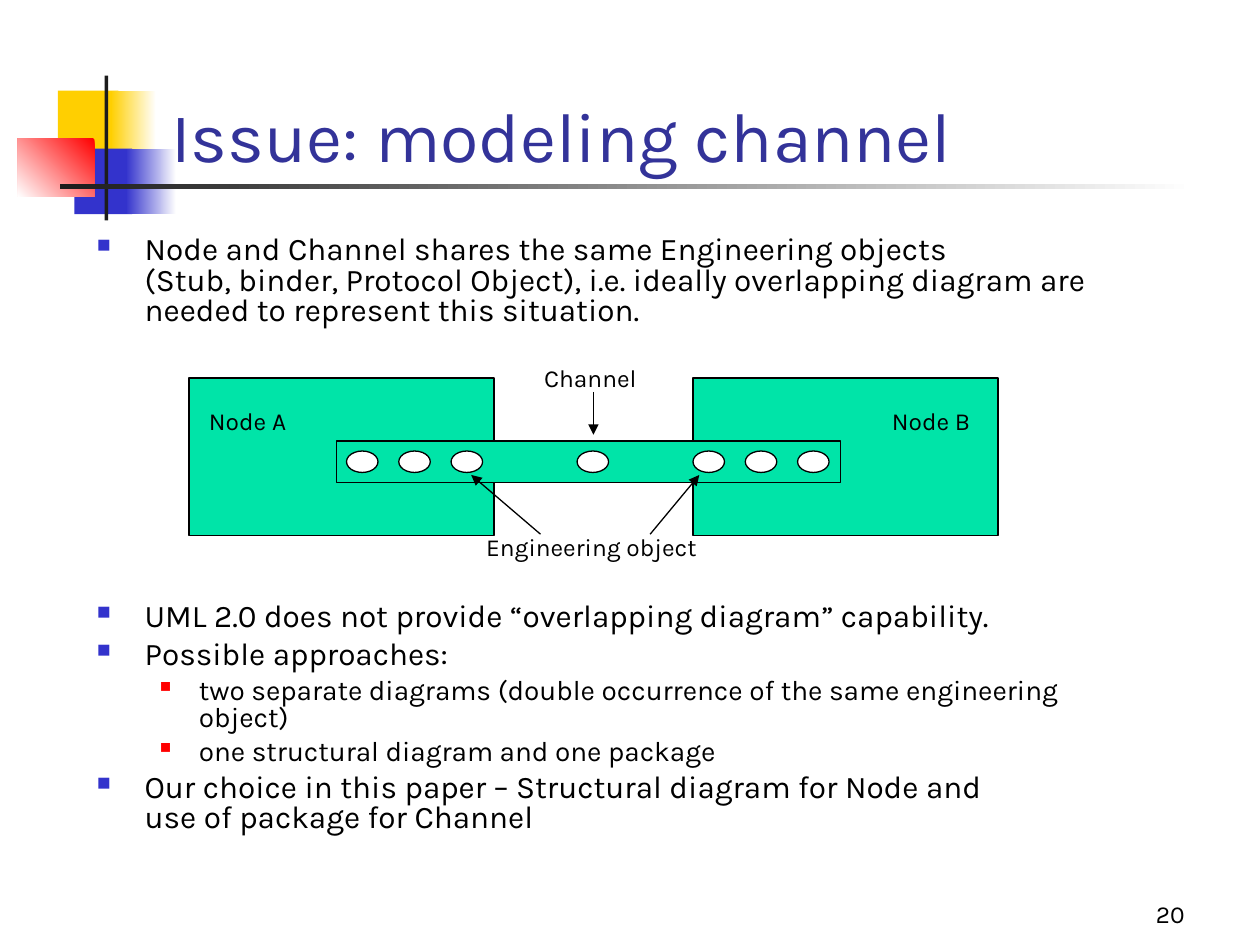
from lxml import etree
from pptx import Presentation
from pptx.dml.color import RGBColor
from pptx.enum import shapes, text
from pptx.oxml import ns
from pptx.util import Inches, Pt

FONT = "Karla"
COLORS = {
    "yellow": "FFCF01", "blue": "3333CC", "red": "FF0000", "white": "FFFFFF",
    "ink": "1C1C1C", "title": "333399", "black": "000000", "green": "00E4A8",
}
LEVELS = [
    {"size": 18, "margin": 0.38, "hang": 0.38, "before": 4.5, "bullet": "blue", "percent": 60},
    {"size": 16, "margin": 0.81, "hang": 0.31, "before": 4, "bullet": "red", "percent": 55},
]
INTRO = [
    (0, "Node and Channel shares the same Engineering objects\v"
        "(Stub, binder, Protocol Object), i.e. ideally overlapping diagram are "
        "needed to represent this situation."),
]
APPROACHES = [
    (0, "UML 2.0 does not provide “overlapping diagram” capability."),
    (0, "Possible approaches:"),
    (1, "two separate diagrams (double occurrence of the same engineering object)"),
    (1, "one structural diagram and one package"),
    (0, "Our choice in this paper – Structural diagram for Node and\vuse of package for Channel"),
]


def color(name):
    """Return the named colour."""
    return RGBColor.from_string(COLORS[name])


def add_block(slide, box, fill, kind=shapes.MSO_SHAPE.RECTANGLE, outlined=False):
    """Add a flat preset shape, with a thin black outline if asked."""
    block = slide.shapes.add_shape(kind, *map(Inches, box))
    block.shadow.inherit = False
    block.fill.solid()
    block.fill.fore_color.rgb = color(fill)
    if outlined:
        block.line.color.rgb = color("black")
        block.line.width = Pt(0.75)
    else:
        block.line.fill.background()
    return block


def add_fade(slide, box, start, end, angle=180):
    """Add a rectangle that fades from one colour to another."""
    fade = add_block(slide, box, start)
    fade.fill.gradient()
    fade.fill.gradient_angle = angle
    for stop, name in zip(fade.fill.gradient_stops, (start, end)):
        stop.color.rgb = color(name)


def style_runs(paragraph, size, name="black"):
    """Give every run of a paragraph its font, size and colour."""
    for run in paragraph.runs:
        run.font.name = FONT
        run.font.size = Pt(size)
        run.font.color.rgb = color(name)


def add_text(slide, box, words, size, name="black", wrap=True,
             anchor=text.MSO_ANCHOR.TOP, align=text.PP_ALIGN.LEFT):
    """Add a text box holding one paragraph."""
    frame = slide.shapes.add_textbox(*map(Inches, box)).text_frame
    frame.word_wrap = wrap
    frame.vertical_anchor = anchor
    frame.text = words
    frame.paragraphs[0].alignment = align
    style_runs(frame.paragraphs[0], size, name)


def add_arrow(slide, start, end):
    """Add a thin black line with an arrowhead at its end."""
    arrow = slide.shapes.add_connector(
        shapes.MSO_CONNECTOR.STRAIGHT, *map(Inches, (*start, *end)))
    arrow.line.color.rgb = color("black")
    arrow.line.width = Pt(0.75)
    etree.SubElement(arrow.line._get_or_add_ln(), ns.qn("a:tailEnd"), type="triangle")
    etree.SubElement(arrow._element.spPr, ns.qn("a:effectLst"))


def add_bullet(paragraph, level):
    """Give a paragraph its coloured square bullet and hanging indent."""
    props = paragraph._p.get_or_add_pPr()
    props.set("marL", str(Inches(level["margin"])))
    props.set("indent", str(-Inches(level["hang"])))
    tint = etree.SubElement(props, ns.qn("a:buClr"))
    etree.SubElement(tint, ns.qn("a:srgbClr"), val=COLORS[level["bullet"]])
    etree.SubElement(props, ns.qn("a:buSzPct"), val=str(level["percent"] * 1000))
    etree.SubElement(props, ns.qn("a:buChar"), char="■")


def add_bullets(slide, box, items):
    """Add a bulleted list of (level, words) items."""
    frame = slide.shapes.add_textbox(*map(Inches, box)).text_frame
    frame.word_wrap = True
    for index, (depth, words) in enumerate(items):
        paragraph = frame.add_paragraph() if index else frame.paragraphs[0]
        level = LEVELS[depth]
        paragraph.text = words
        paragraph.level = depth
        add_bullet(paragraph, level)
        paragraph.line_spacing = 0.8
        paragraph.space_before = Pt(level["before"] if index else 0)
        style_runs(paragraph, level["size"])


def add_emblem(slide, left, top):
    """Add the overlapping squares and the crossing rules."""
    add_block(slide, (left + 0.32, top + 0.12, 0.48, 0.52), "yellow")
    add_fade(slide, (left + 0.74, top + 0.12, 0.36, 0.52), "white", "yellow")
    add_block(slide, (left + 0.45, top + 0.58, 0.46, 0.52), "blue")
    add_fade(slide, (left + 0.86, top + 0.58, 0.4, 0.52), "white", "blue")
    add_fade(slide, (left, top + 0.5, 0.61, 0.46), "red", "white", angle=225)
    add_block(slide, (left + 0.69, top, 0.03, 1.15), "ink")
    add_fade(slide, (left + 0.34, top + 0.86, 9, 0.04), "white", "ink")


def add_channel_diagram(slide, left, top):
    """Add two nodes bridged by a channel of engineering objects."""
    for node_x in (0, 4):
        add_block(slide, (left + node_x, top, 2.42, 1.25), "green", outlined=True)
    add_block(slide, (left + 1.17, top + 0.5, 4, 0.33), "green", outlined=True)

    pitch = 0.415
    node_a_objects = [1.25 + pitch * i for i in range(3)]
    node_b_objects = [4 + pitch * i for i in range(3)]
    for object_x in (*node_a_objects, 3.08, *node_b_objects):
        add_block(slide, (left + object_x, top + 0.58, 0.25, 0.17), "white",
                  shapes.MSO_SHAPE.OVAL, outlined=True)

    labels = [
        ("Node A", 0.06, 0.17, 0.87), ("Node B", 5.48, 0.17, 0.87),
        ("Channel", 2.72, -0.17, 0.95), ("Engineering object", 2.26, 1.17, 1.92),
    ]
    for words, x, y, width in labels:
        add_text(slide, (left + x, top + y, width, 0.34), words, 14, wrap=False)

    arrows = [((3.21, 0.11), (3.21, 0.45)), ((3.66, 1.24), (4.05, 0.77)),
              ((2.79, 1.24), (2.24, 0.77))]
    for start, end in arrows:
        add_arrow(slide, (left + start[0], top + start[1]), (left + end[0], top + end[1]))


def main():
    """Build the slide and save it."""
    deck = Presentation()
    deck.slide_width, deck.slide_height = Inches(10), Inches(7.5)
    slide = deck.slides.add_slide(deck.slide_layouts[6])
    add_emblem(slide, 0.14, 0.6)
    add_text(slide, (1.26, 0.52, 8.52, 0.93), "Issue: modeling channel", 40, "title",
             anchor=text.MSO_ANCHOR.BOTTOM)
    add_bullets(slide, (0.67, 1.83, 8.5, 0.9), INTRO)
    add_bullets(slide, (0.67, 4.74, 8.5, 2.01), APPROACHES)
    add_channel_diagram(slide, 1.5, 3)
    add_text(slide, (7.42, 6.92, 2.08, 0.5), "20", 14,
             anchor=text.MSO_ANCHOR.BOTTOM, align=text.PP_ALIGN.RIGHT)
    deck.save("out.pptx")


if __name__ == "__main__":
    main()
